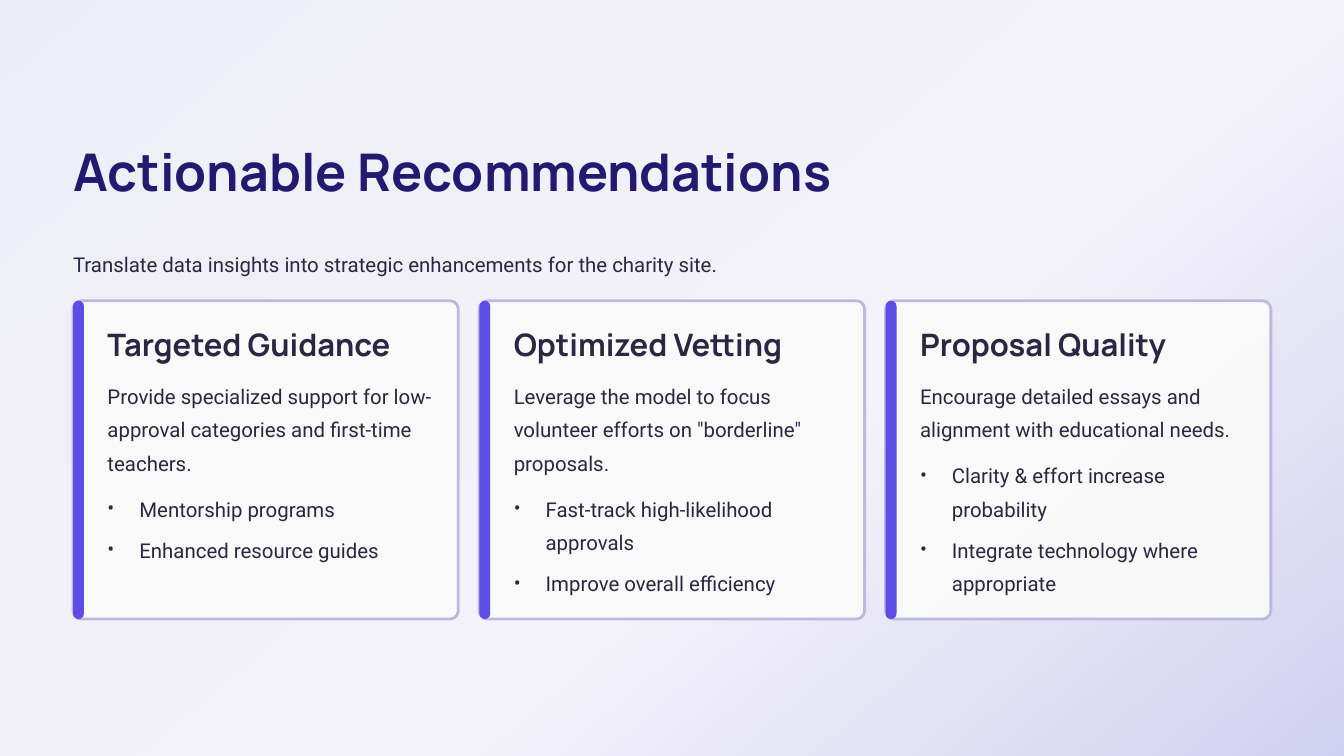
from dataclasses import dataclass
from typing import NamedTuple

from lxml.etree import SubElement
from pptx import Presentation
from pptx.dml.color import RGBColor
from pptx.enum.shapes import MSO_SHAPE as Shape
from pptx.oxml.ns import qn
from pptx.util import Inches, Pt


class Box(NamedTuple):
    """A rectangle in inches."""
    left: float
    top: float
    width: float
    height: float

    def inches(self):
        """Return the four lengths as slide units."""
        return [Inches(length) for length in self]


@dataclass(frozen=True)
class Style:
    """The look of one kind of text."""
    font: str
    size: float
    leading: float
    color: str
    bold: bool = False


class Theme:
    """Colours and type styles of the deck."""
    gradient = ((0, "CACAF2"), (60, "E4DDFB"), (100, "5656D6"))
    gradient_angle = 50
    paper, border, accent = "FAFAFA", "BDB8DF", "5E4CE6"
    veil_opacity, card_opacity = 75, 95
    border_width = 2.4
    radius = 0.1
    title = Style("Manrope", 44.5, 55.5, "231971", True)
    heading = Style("Manrope", 26.5, 33, "2A2742", True)
    body = Style("Roboto", 17.5, 28.5, "2A2742")
    list_gap, bullet_gap, bullet_indent = 11, 6.5, 0.38


SLIDE = Box(0, 0, 16, 9)
CONTENT = Box(0.87, 1.63, 14.26, 5.74)
GUTTER = 0.25
CARDS = (
    ("Targeted Guidance",
     "Provide specialized support for low-approval categories and first-time teachers.",
     ("Mentorship programs", "Enhanced resource guides")),
    ("Optimized Vetting",
     'Leverage the model to focus volunteer efforts on "borderline" proposals.',
     ("Fast-track high-likelihood approvals", "Improve overall efficiency")),
    ("Proposal Quality",
     "Encourage detailed essays and alignment with educational needs.",
     ("Clarity & effort increase probability", "Integrate technology where appropriate")),
)


def add_panel(slide, box, color, opacity=100, rounded=True):
    """Add a filled panel without line or shadow."""
    kind = Shape.ROUNDED_RECTANGLE if rounded else Shape.RECTANGLE
    panel = slide.shapes.add_shape(kind, *box.inches())
    panel.shadow.inherit = False
    panel.fill.solid()
    panel.fill.fore_color.rgb = RGBColor.from_string(color)
    panel.line.fill.background()
    if rounded:
        panel.adjustments[0] = min(0.5, Theme.radius / min(box.width, box.height))
    if opacity < 100:
        fill_color = panel._element.spPr.find(qn("a:solidFill"))[0]
        SubElement(fill_color, qn("a:alpha"), val=str(opacity * 1000))
    return panel


def style_paragraph(para, text, style):
    """Fill a paragraph and set its type."""
    para.text = text
    para.line_spacing = Pt(style.leading)
    para.font.name = style.font
    para.font.size = Pt(style.size)
    para.font.bold = style.bold
    para.font.color.rgb = RGBColor.from_string(style.color)


def add_text(slide, box, text, style):
    """Add a wrapping text box without insets and return its frame."""
    frame = slide.shapes.add_textbox(*box.inches()).text_frame
    frame.word_wrap = True
    frame.margin_left = frame.margin_right = frame.margin_top = frame.margin_bottom = 0
    style_paragraph(frame.paragraphs[0], text, style)
    return frame


def add_bullet(frame, text, gap):
    """Append a bulleted paragraph to a frame."""
    para = frame.add_paragraph()
    properties = para._p.get_or_add_pPr()
    indent = Inches(Theme.bullet_indent)
    properties.set("marL", str(indent))
    properties.set("indent", str(-indent))
    SubElement(properties, qn("a:buFont"), typeface=Theme.body.font)
    SubElement(properties, qn("a:buChar"), char="•")
    style_paragraph(para, text, Theme.body)
    para.space_before = Pt(gap)


def draw_background(slide, box):
    """Paint the gradient and the pale veil over it."""
    fill = slide.background.fill
    fill.gradient()
    fill.gradient_angle = 360 - Theme.gradient_angle
    stops = slide._element.find(".//" + qn("a:gsLst"))
    for stop in list(stops):
        stops.remove(stop)
    for position, color in Theme.gradient:
        stop = SubElement(stops, qn("a:gs"), pos=str(position * 1000))
        SubElement(stop, qn("a:srgbClr"), val=color)
    add_panel(slide, box, Theme.paper, Theme.veil_opacity, rounded=False)


def draw_header(slide, box):
    """Write the title and the sentence below it."""
    add_text(slide, box._replace(height=0.78), "Actionable Recommendations", Theme.title)
    add_text(slide, Box(box.left, box.top + 1.27, box.width, 0.4),
             "Translate data insights into strategic enhancements for the charity site.",
             Theme.body)


def draw_card(slide, box, heading, summary, bullets):
    """Draw one card with its accent bar, heading, summary and bullets."""
    card = add_panel(slide, box, Theme.paper, Theme.card_opacity)
    card.line.color.rgb = RGBColor.from_string(Theme.border)
    card.line.width = Pt(Theme.border_width)
    add_panel(slide, box._replace(width=0.13), Theme.accent)
    left, width = box.left + 0.41, box.width - 0.7
    add_text(slide, Box(left, box.top + 0.28, width, 0.47), heading, Theme.heading)
    frame = add_text(slide, Box(left, box.top + 0.89, width, 2.62), summary, Theme.body)
    for index, bullet in enumerate(bullets):
        add_bullet(frame, bullet, Theme.bullet_gap if index else Theme.list_gap)


def draw_cards(slide, box):
    """Spread the cards evenly across the box."""
    width = (box.width - GUTTER * (len(CARDS) - 1)) / len(CARDS)
    for column, card in enumerate(CARDS):
        left = box.left + column * (width + GUTTER)
        draw_card(slide, box._replace(left=left, width=width), *card)


def main():
    """Build and save the deck."""
    deck = Presentation()
    deck.slide_width, deck.slide_height = Inches(SLIDE.width), Inches(SLIDE.height)
    slide = deck.slides.add_slide(deck.slide_layouts[6])
    header_height = 1.95
    draw_background(slide, SLIDE)
    draw_header(slide, CONTENT._replace(height=header_height))
    draw_cards(slide, CONTENT._replace(top=CONTENT.top + header_height,
                                       height=CONTENT.height - header_height))
    deck.save("out.pptx")


if __name__ == "__main__":
    main()
